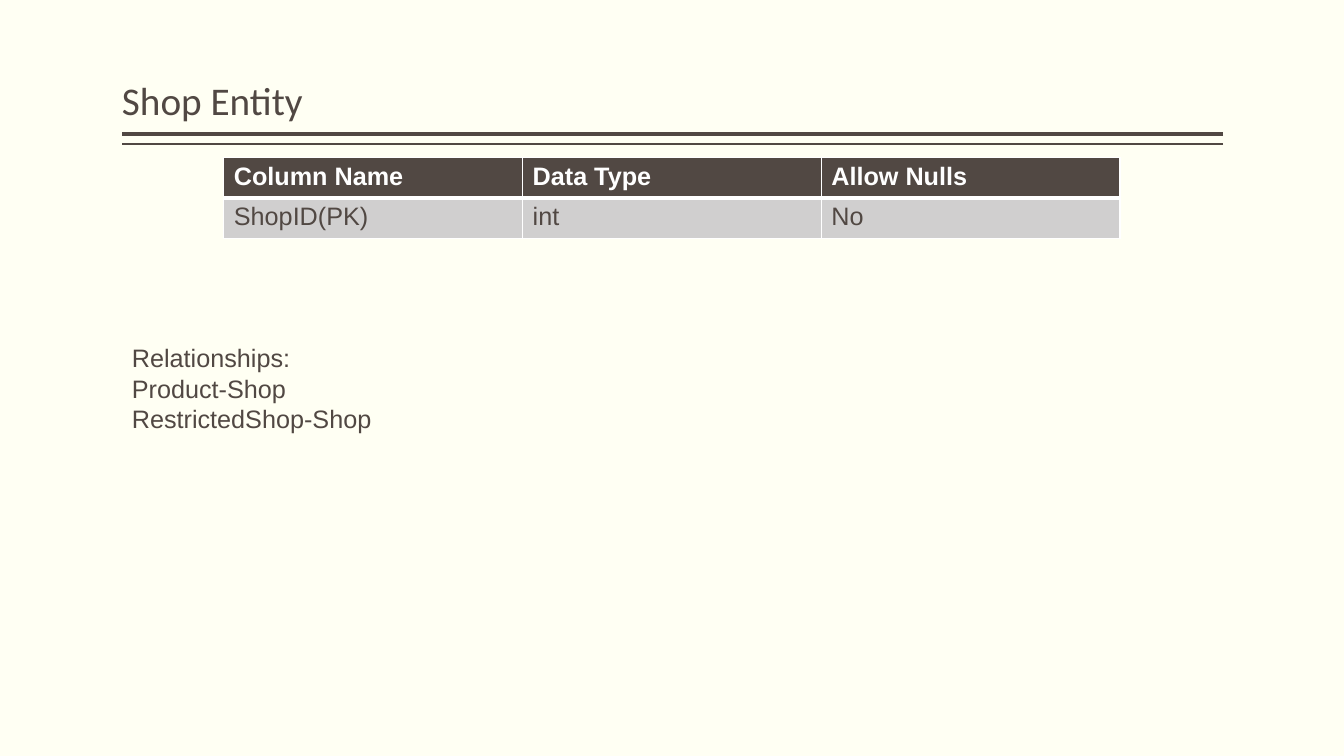
from dataclasses import dataclass

from lxml import etree
from pptx import Presentation
from pptx.dml.color import RGBColor
from pptx.enum.shapes import MSO_CONNECTOR
from pptx.enum.text import MSO_ANCHOR
from pptx.oxml.ns import qn
from pptx.util import Inches, Pt

STRAIGHT = MSO_CONNECTOR.STRAIGHT
TOP, BOTTOM = MSO_ANCHOR.TOP, MSO_ANCHOR.BOTTOM


@dataclass(frozen=True)
class Theme:
    background: str = "FFFFF3"
    ink: str = "514843"
    white: str = "FFFFFF"
    body_fill: str = "D0CFCF"
    title_font: str = "Calibri"
    body_font: str = "Arial"
    title_size: int = 28
    body_size: int = 18
    thin: int = 1
    thick: int = 3


THEME = Theme()
COLUMNS = [
    ["Column Name", "Data Type", "Allow Nulls"],
    ["ShopID(PK)", "int", "No"],
]
RELATIONSHIPS = ["Relationships:", "Product-Shop", "RestrictedShop-Shop"]


def rgb(value):
    return RGBColor.from_string(value)


def write(tf, lines, font=THEME.body_font, size=THEME.body_size,
          color=THEME.ink, bold=False, spacing=None):
    for i, line in enumerate(lines):
        p = tf.paragraphs[0] if i == 0 else tf.add_paragraph()
        if spacing:
            p.line_spacing = spacing
        r = p.add_run()
        r.text = line
        r.font.name, r.font.size, r.font.bold = font, Pt(size), bold
        r.font.color.rgb = rgb(color)


def add_text(s, box, lines, anchor=TOP, inset=0.1, **fmt):
    sp = s.shapes.add_textbox(*map(Inches, box))
    tf = sp.text_frame
    tf.word_wrap = True
    tf.vertical_anchor = anchor
    tf.margin_left = tf.margin_right = Inches(inset)
    write(tf, lines, **fmt)


def add_rule(s, x, y, width, weight):
    line = s.shapes.add_connector(
        STRAIGHT, Inches(x + width), Inches(y), Inches(x), Inches(y))
    line.line.color.rgb = rgb(THEME.ink)
    line.line.width = Pt(weight)
    etree.SubElement(line._element.spPr, qn("a:effectLst"))


def add_title(s, box, title):
    """Title resting on a thick and a thin rule below its box."""
    x, y, width, height = box
    add_rule(s, x, y + height + 0.05, width, THEME.thick)
    add_rule(s, x, y + height + 0.15, width, THEME.thin)
    add_text(s, box, [title], anchor=BOTTOM, inset=0, spacing=0.9,
             font=THEME.title_font, size=THEME.title_size)


def set_borders(cell, **weights):
    tc_pr = cell._tc.get_or_add_tcPr()
    for side in "LRTB":
        width = Pt(weights.get(side, THEME.thin))
        ln = etree.SubElement(tc_pr, qn(f"a:ln{side}"), w=str(width))
        fill = etree.SubElement(ln, qn("a:solidFill"))
        etree.SubElement(fill, qn("a:srgbClr"), val=THEME.white)


def add_column_table(s, box, rows):
    table = s.shapes.add_table(
        len(rows), len(rows[0]), *map(Inches, box)).table
    for i, row in enumerate(rows):
        header = i == 0
        for j, value in enumerate(row):
            cell = table.cell(i, j)
            set_borders(cell, **{"B" if header else "T": THEME.thick})
            cell.fill.solid()
            cell.fill.fore_color.rgb = rgb(
                THEME.ink if header else THEME.body_fill)
            write(cell.text_frame, [value], bold=header,
                  color=THEME.white if header else THEME.ink)


def main():
    prs = Presentation()
    prs.slide_width, prs.slide_height = Inches(13.33), Inches(7.5)
    s = prs.slides.add_slide(prs.slide_layouts[6])
    s.background.fill.solid()
    s.background.fill.fore_color.rgb = rgb(THEME.background)
    add_title(s, (1.21, 0.08, 10.92, 1.2), "Shop Entity")
    add_column_table(s, (2.22, 1.56, 8.89, 0.81), COLUMNS)
    add_text(s, (1.21, 3.35, 6.66, 1.01), RELATIONSHIPS)
    prs.save("out.pptx")


if __name__ == "__main__":
    main()
